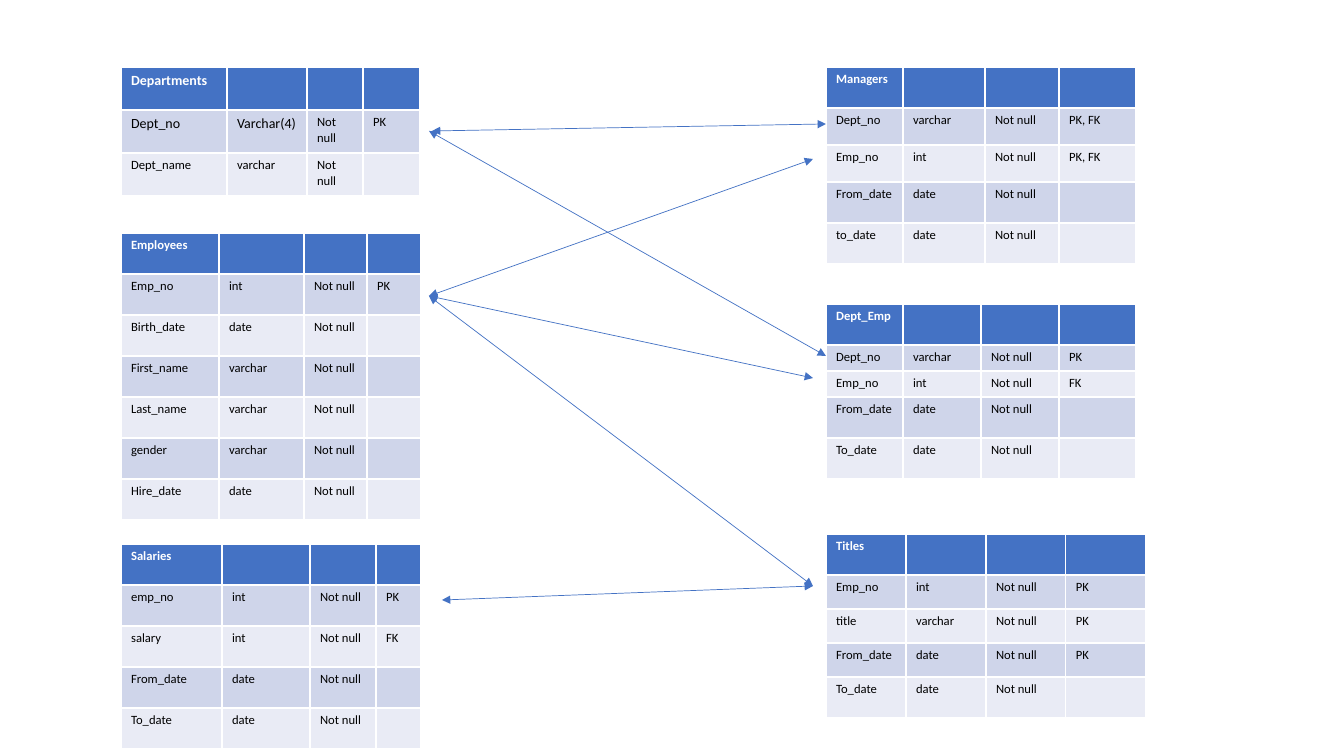
from lxml import etree
from pptx import Presentation
from pptx.dml.color import RGBColor
from pptx.enum import shapes
from pptx.oxml import ns
from pptx.util import Emu, Pt

EMU_PER_PX = 914400 / 100.8
BLUE = RGBColor(0x44, 0x72, 0xC4)
BAND_DARK = RGBColor(0xCF, 0xD5, 0xEA)
BAND_LIGHT = RGBColor(0xE9, 0xEB, 0xF5)
WHITE = RGBColor(0xFF, 0xFF, 0xFF)
BLACK = RGBColor(0x00, 0x00, 0x00)

LEFT, RIGHT = 121, 826


def px(length):
    return Emu(round(length * EMU_PER_PX))


class SchemaPage:
    font_name = "Calibri"
    text_size = 9
    large_size = 10
    line_width = 0.5

    def __init__(self, deck):
        self.page = deck.slides.add_slide(deck.slide_layouts[6])

    def entity(self, name, left, top, widths, heights, fields, large=()):
        """Draw one database table; large lists the (row, column) cells in bigger type."""
        rows = [(name, "", "", "")]
        rows += [(field, kind, "Not null", key) for field, kind, key in fields]
        frame = self.page.shapes.add_table(
            len(rows), len(widths), px(left), px(top), px(sum(widths)), px(sum(heights)))
        table = frame.table
        for column, width in zip(table.columns, widths):
            column.width = px(width)
        for i, (height, row) in enumerate(zip(heights, rows)):
            table.rows[i].height = px(height)
            for j, words in enumerate(row):
                size = self.large_size if (i, j) in large else self.text_size
                self.fill_cell(table.cell(i, j), words, i, size)

    def fill_cell(self, cell, words, row, size):
        cell.fill.solid()
        if row == 0:
            cell.fill.fore_color.rgb = BLUE
        else:
            cell.fill.fore_color.rgb = BAND_DARK if row % 2 else BAND_LIGHT
        if not words:
            return
        cell.text = words
        font = cell.text_frame.paragraphs[0].font
        font.name = self.font_name
        font.size = Pt(size)
        font.bold = row == 0
        font.color.rgb = BLACK if row else WHITE

    def relation(self, start, end):
        """Join two points with a line that has an arrowhead at both ends."""
        line = self.page.shapes.add_connector(
            shapes.MSO_CONNECTOR.STRAIGHT, *map(px, start + end))
        line.line.color.rgb = BLUE
        line.line.width = Pt(self.line_width)
        outline = line.line._get_or_add_ln()
        for tag in ("a:headEnd", "a:tailEnd"):
            etree.SubElement(outline, ns.qn(tag), type="triangle")
        etree.SubElement(line._element.spPr, ns.qn("a:effectLst"))


def main():
    deck = Presentation()
    deck.slide_width, deck.slide_height = px(1344), px(756)
    schema = SchemaPage(deck)

    schema.entity("Departments", LEFT, 67, [106, 80, 56, 57], [43] * 3, [
        ("Dept_no", "Varchar(4)", "PK"),
        ("Dept_name", "varchar", ""),
    ], large={(0, 0), (1, 0), (1, 1)})
    schema.entity("Employees", LEFT, 233, [98, 85, 63, 54], [41] * 7, [
        ("Emp_no", "int", "PK"),
        ("Birth_date", "date", ""),
        ("First_name", "varchar", ""),
        ("Last_name", "varchar", ""),
        ("gender", "varchar", ""),
        ("Hire_date", "date", ""),
    ])
    schema.entity("Salaries", LEFT, 544, [101, 88, 66, 45], [41] * 5, [
        ("emp_no", "int", "PK"),
        ("salary", "int", "FK"),
        ("From_date", "date", ""),
        ("To_date", "date", ""),
    ])
    schema.entity("Managers", RIGHT, 67, [77, 82, 74, 77], [41, 37, 37, 41, 41], [
        ("Dept_no", "varchar", "PK, FK"),
        ("Emp_no", "int", "PK, FK"),
        ("From_date", "date", ""),
        ("to_date", "date", ""),
    ])
    schema.entity("Dept_Emp", RIGHT, 304, [77, 78, 78, 77], [41, 26, 26, 41, 41], [
        ("Dept_no", "varchar", "PK"),
        ("Emp_no", "int", "FK"),
        ("From_date", "date", ""),
        ("To_date", "date", ""),
    ])
    schema.entity("Titles", RIGHT, 534, [80] * 4, [41, 34, 34, 34, 41], [
        ("Emp_no", "int", "PK"),
        ("title", "varchar", "PK"),
        ("From_date", "date", "PK"),
        ("To_date", "date", ""),
    ])

    employee_key, title_key = (429, 296), (813, 586)
    schema.relation(employee_key, title_key)
    schema.relation((442, 600), title_key)
    schema.relation(employee_key, (813, 378))
    schema.relation(employee_key, (813, 159))
    schema.relation((429, 131), (RIGHT, 356))
    schema.relation((432, 131), (RIGHT, 124))

    deck.save("out.pptx")


if __name__ == "__main__":
    main()
